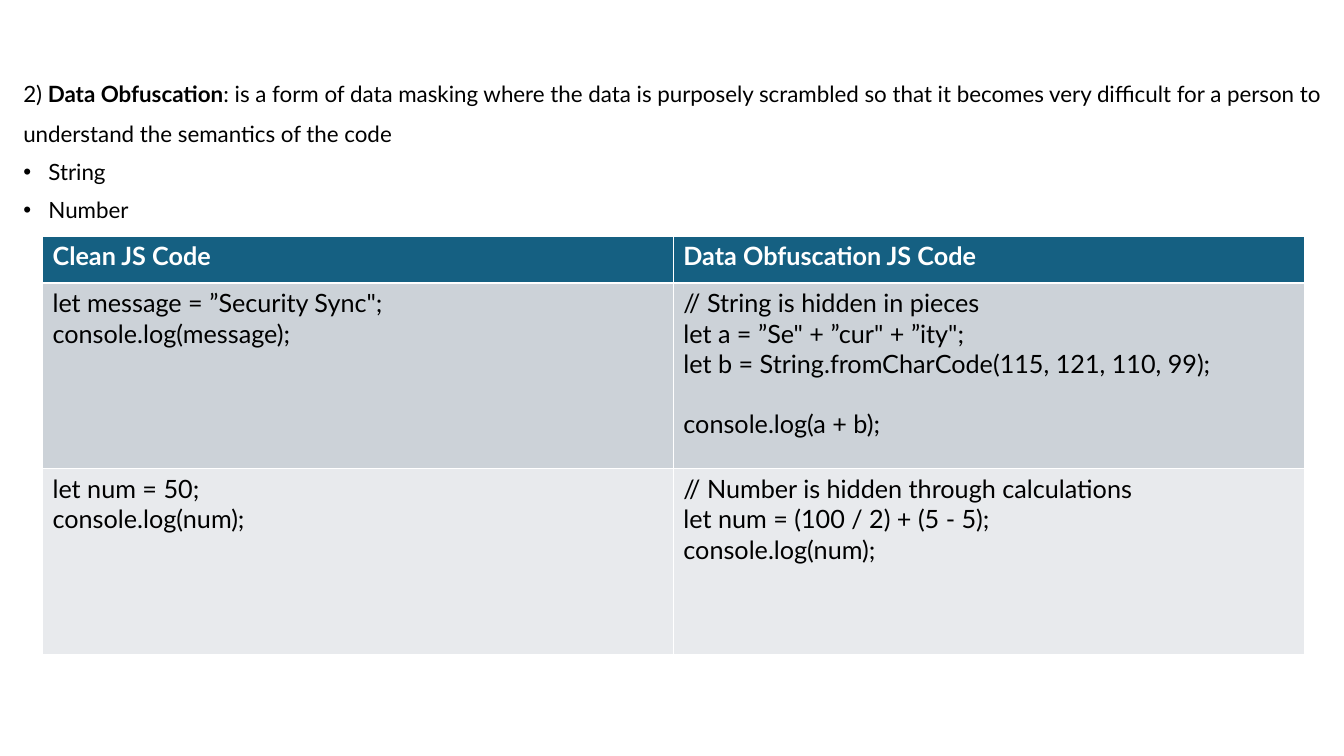
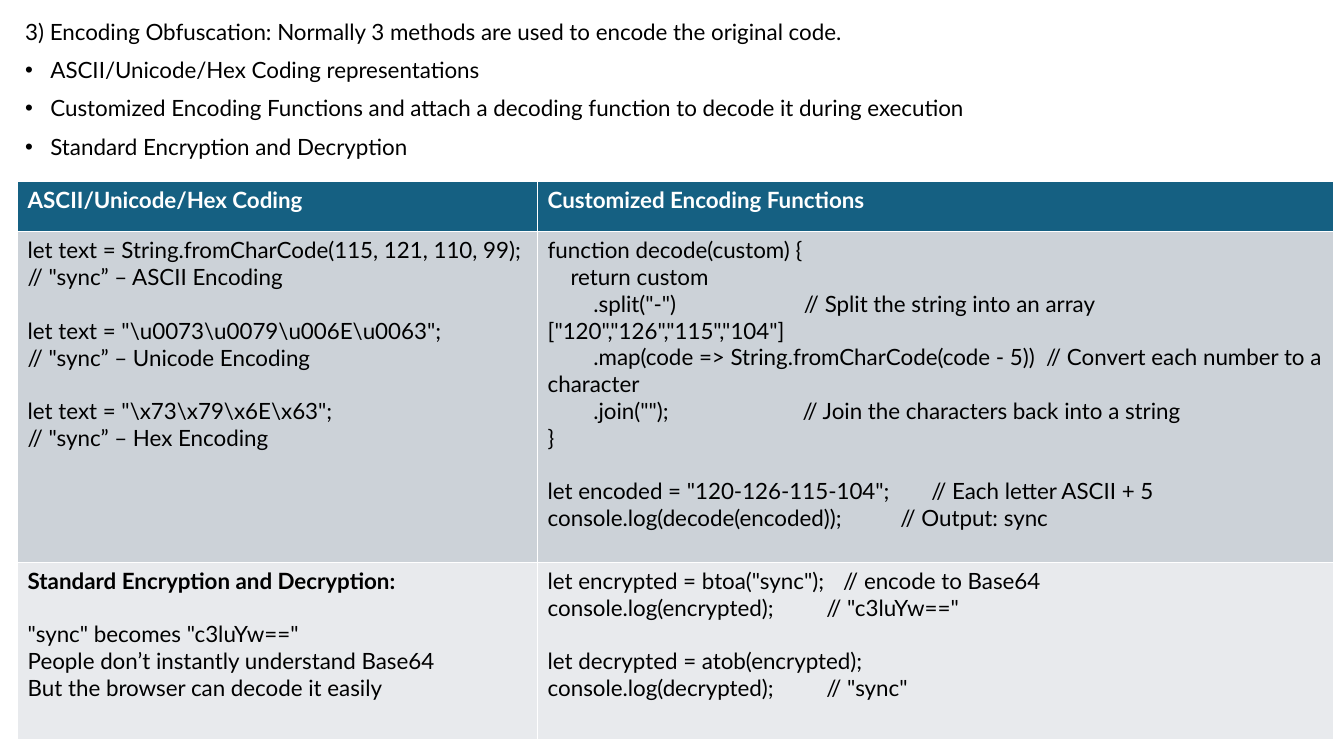
from lxml import etree
from pptx import Presentation
from pptx.dml.color import RGBColor
from pptx.enum.text import MSO_ANCHOR, MSO_AUTO_SIZE
from pptx.oxml.ns import qn
from pptx.util import Pt

TOP = MSO_ANCHOR.TOP
NO_AUTOFIT = MSO_AUTO_SIZE.NONE

FONT = "Lato"
BLACK = RGBColor(0x00, 0x00, 0x00)
WHITE = RGBColor(0xFF, 0xFF, 0xFF)
HEADER_BLUE = RGBColor(0x15, 0x60, 0x82)
ROW_FILLS = [HEADER_BLUE, RGBColor(0xCC, 0xD2, 0xD8), RGBColor(0xE8, 0xEA, 0xED)]
BODY_SIZE = 16
BULLET_INDENT = 18
LINE_FACTOR = 1.2

# Each intro holds (text, bold) spans. In a cell, "" asks for a one-line gap,
# and (code, comment, stop) sets the comment at a tab stop.
SLIDES = [
    {
        "body": (9.4, 44, 942.6, 120),
        "intro": [
            ("2) ", False),
            ("Data Obfuscation", True),
            (": is a form of data masking where the data is purposely scrambled so that "
             "it becomes very difficult for a person to understand the semantics of the "
             "code", False),
        ],
        "intro_spacing": 1.5,
        "bullets": ["String", "Number"],
        "table": (30.4, 168.6),
        "columns": [450.6, 450.6],
        "rows": [33.6, 132.6, 132.6],
        "size": 18,
        "cells": [
            [["Clean JS Code"], ["Data Obfuscation JS Code"]],
            [
                ['let message = ”Security Sync";', "console.log(message);"],
                [
                    "// String is hidden in pieces",
                    'let a = ”Se" + ”cur" + ”ity";',
                    "let b = String.fromCharCode(115, 121, 110, 99);",
                    "",
                    "console.log(a + b);",
                ],
            ],
            [
                ["let num = 50;", "console.log(num);"],
                [
                    "// Number is hidden through calculations",
                    "let num = (100 / 2) + (5 - 5);",
                    "console.log(num);",
                ],
            ],
        ],
    },
    {
        "body": (10.8, 11.5, 942.6, 115),
        "intro": [
            ("3) Encoding Obfuscation: Normally 3 methods are used to encode the "
             "original code.", False),
        ],
        "intro_spacing": 0.9,
        "bullets": [
            "ASCII/Unicode/Hex Coding representations",
            "Customized Encoding Functions and attach a decoding function to decode it "
            "during execution",
            "Standard Encryption and Decryption",
        ],
        "table": (12.6, 129.6),
        "columns": [371.4, 568.8],
        "rows": [36, 236, 126.6],
        "size": 16,
        "cells": [
            [["ASCII/Unicode/Hex Coding"], ["Customized Encoding Functions"]],
            [
                [
                    "let text = String.fromCharCode(115, 121, 110, 99);",
                    '// "sync” – ASCII Encoding',
                    "",
                    r'let text = "\u0073\u0079\u006E\u0063";',
                    '// "sync” – Unicode Encoding',
                    "",
                    r'let text = "\x73\x79\x6E\x63";',
                    '// "sync” – Hex Encoding',
                ],
                [
                    "function decode(custom) {",
                    "    return custom",
                    ('        .split("-")',
                     '// Split the string into an array ["120","126","115","104"]', 183),
                    ("        .map(code => String.fromCharCode(code - 5))",
                     "// Convert each number to a character", 356),
                    ('        .join("");',
                     "// Join the characters back into a string", 182),
                    "}",
                    "",
                    ('let encoded = "120-126-115-104";', "// Each letter ASCII + 5", 274),
                    ("console.log(decode(encoded));", "// Output: sync", 252),
                ],
            ],
            [
                [
                    "Standard Encryption and Decryption:",
                    "",
                    '"sync" becomes "c3luYw=="',
                    "People don’t instantly understand Base64",
                    "But the browser can decode it easily",
                ],
                [
                    ('let encrypted = btoa("sync");', "// encode to Base64", 211),
                    ("console.log(encrypted);", '// "c3luYw=="', 199),
                    "",
                    "let decrypted = atob(encrypted);",
                    ("console.log(decrypted);", '// "sync"', 199),
                ],
            ],
        ],
    },
]
BOLD_LINES = {"Standard Encryption and Decryption:"}


def add_span(para, text, size=BODY_SIZE, color=BLACK, bold=False):
    span = para.add_run()
    span.text = text
    span.font.name = FONT
    span.font.size = Pt(size)
    span.font.color.rgb = color
    span.font.bold = bold


def set_bullet(para, char=None):
    """Give the paragraph a hanging bullet, or clear the inherited one."""
    properties = para._p.get_or_add_pPr()
    indent = Pt(BULLET_INDENT) if char else 0
    properties.set("marL", str(indent))
    properties.set("indent", str(-indent))
    if char:
        etree.SubElement(properties, qn("a:buFont"), typeface="Arial")
        etree.SubElement(properties, qn("a:buChar"), char=char)
    else:
        etree.SubElement(properties, qn("a:buNone"))


deck = Presentation()
deck.slide_width = Pt(960)
deck.slide_height = Pt(540)
content_layout = deck.slide_layouts[1]

for content in SLIDES:
    page = deck.slides.add_slide(content_layout)
    title = page.shapes.title._element
    title.getparent().remove(title)

    body = page.placeholders[1]
    body.left, body.top, body.width, body.height = map(Pt, content["body"])
    frame = body.text_frame
    frame.word_wrap = True
    frame.auto_size = NO_AUTOFIT
    frame.vertical_anchor = TOP

    intro = frame.paragraphs[0]
    set_bullet(intro)
    intro.line_spacing = content["intro_spacing"]
    intro.space_before = Pt(0)
    for text, bold in content["intro"]:
        add_span(intro, text, bold=bold)
    for text in content["bullets"]:
        para = frame.add_paragraph()
        set_bullet(para, "•")
        para.line_spacing = 0.9
        para.space_before = Pt(10)
        add_span(para, text)

    columns, rows, size = content["columns"], content["rows"], content["size"]
    left, top = content["table"]
    table = page.shapes.add_table(
        len(rows), len(columns), Pt(left), Pt(top), Pt(sum(columns)), Pt(sum(rows))
    ).table
    for column, width in zip(table.columns, columns):
        column.width = Pt(width)
    for row, height in zip(table.rows, rows):
        row.height = Pt(height)

    for row_index, row_cells in enumerate(content["cells"]):
        is_header = row_index == 0
        for column_index, lines in enumerate(row_cells):
            cell = table.cell(row_index, column_index)
            cell.fill.solid()
            cell.fill.fore_color.rgb = ROW_FILLS[row_index]
            para, gap = cell.text_frame.paragraphs[0], 0
            for line_index, line in enumerate(lines):
                if not line:
                    gap = size * LINE_FACTOR
                    continue
                if line_index:
                    para = cell.text_frame.add_paragraph()
                if gap:
                    para.space_before = Pt(gap)
                    gap = 0
                if isinstance(line, tuple):
                    code, comment, stop = line
                    tabs = etree.SubElement(para._p.get_or_add_pPr(), qn("a:tabLst"))
                    etree.SubElement(tabs, qn("a:tab"), pos=str(Pt(stop)), algn="l")
                    line = f"{code}\t{comment}"
                add_span(para, line, size=size, color=WHITE if is_header else BLACK,
                         bold=is_header or line in BOLD_LINES)

deck.save("out.pptx")
